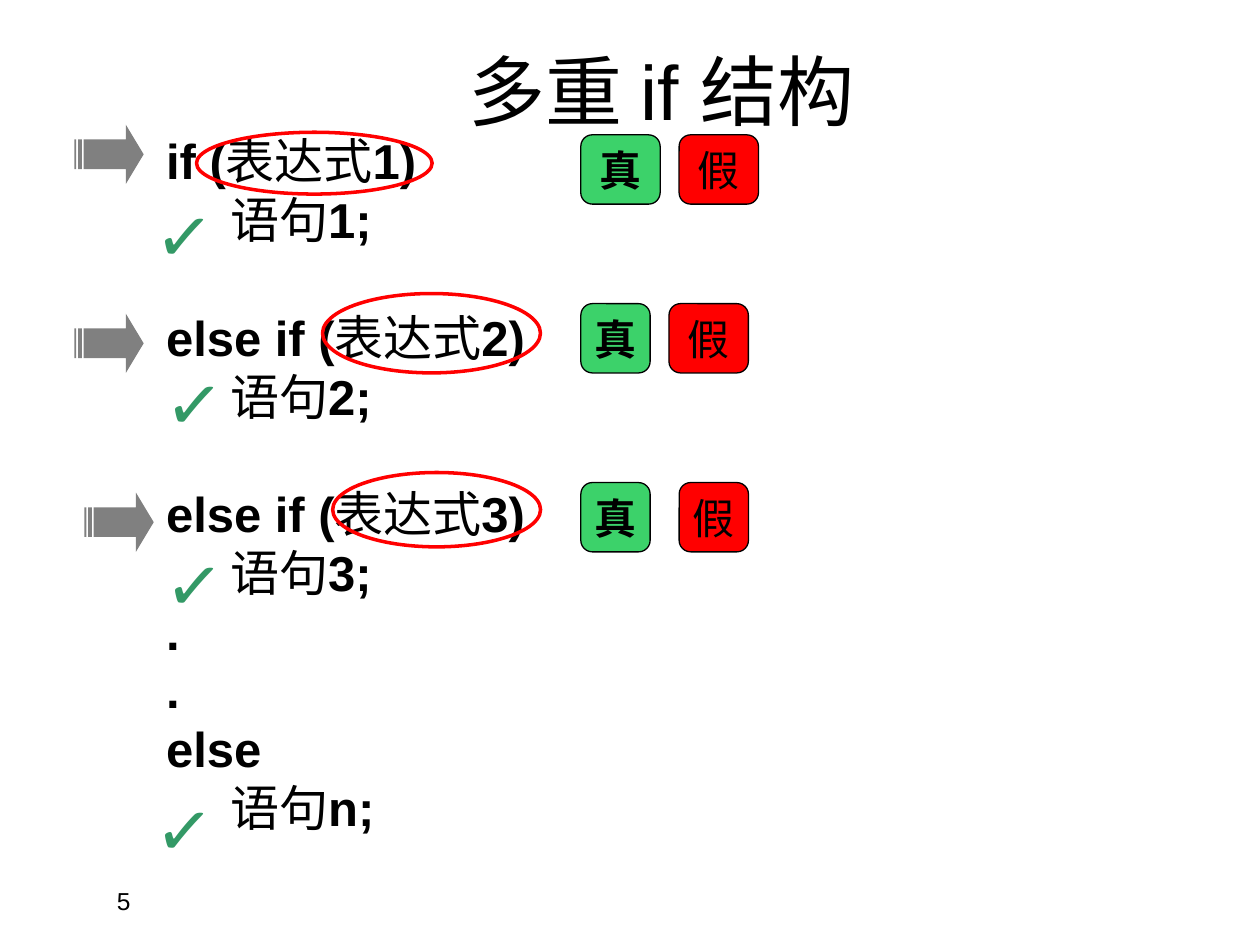
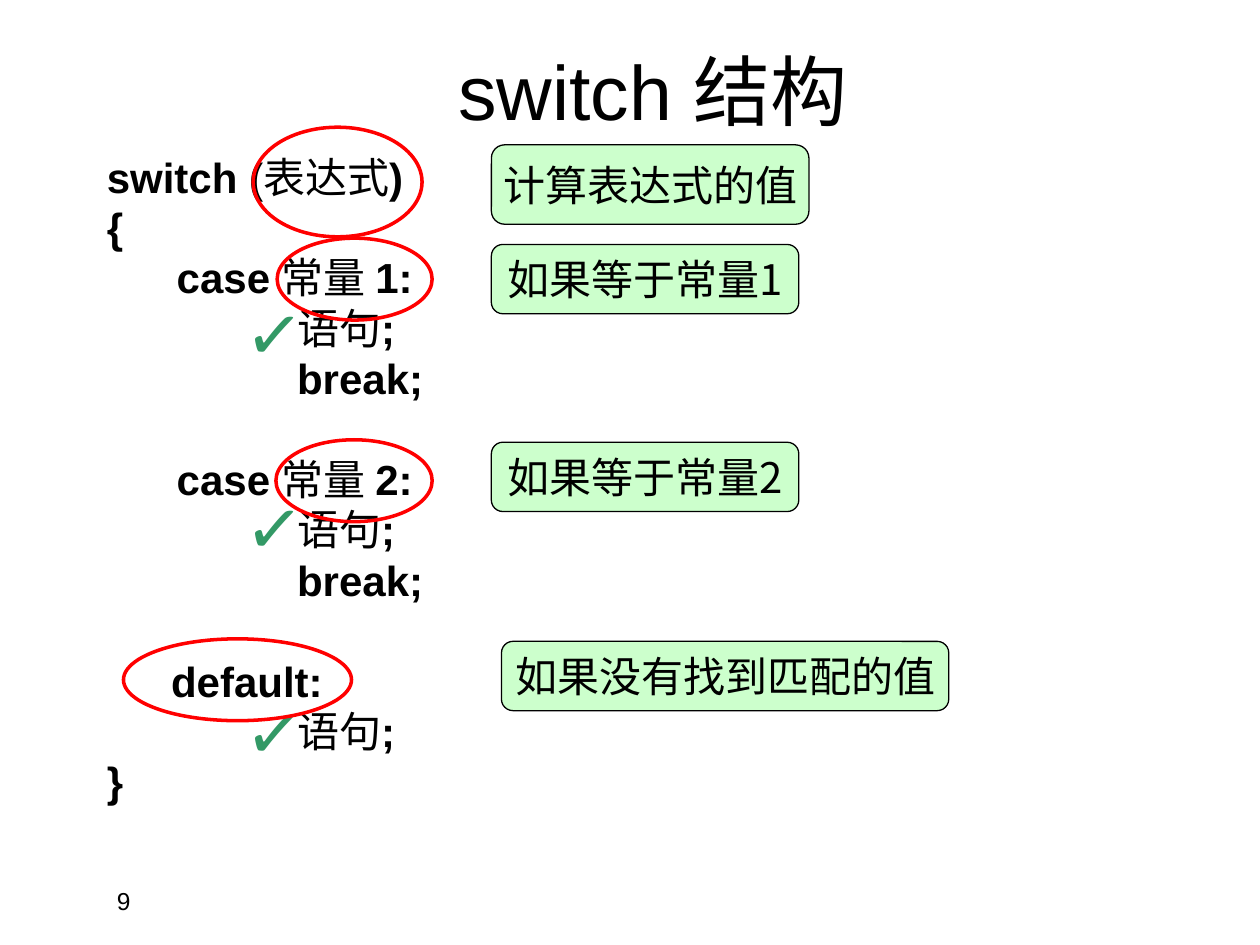
from dataclasses import dataclass

from lxml import etree
from pptx import Presentation
from pptx.dml.color import RGBColor
from pptx.enum.shapes import MSO_SHAPE as Shape
from pptx.enum.text import MSO_ANCHOR as Anchor, MSO_AUTO_SIZE as AutoSize, PP_ALIGN as Align
from pptx.oxml.ns import qn
from pptx.util import Inches, Pt


@dataclass(frozen=True)
class Theme:
    latin: str = "Arial"
    cjk: str = "Noto Sans CJK SC"
    text: str = "000000"
    ring: str = "FF0000"
    true: str = "3CD26A"
    false: str = "FF0000"
    note: str = "CCFFCC"
    arrow: str = "808080"
    tick: str = "339966"
    title_size: int = 44
    tick_size: int = 40
    label_size: int = 24
    number_size: int = 14
    line_spacing: float = 1.2


THEME = Theme()

MULTI_IF = [
    ["if (|表达式|1)", "\t|语句|1;"],
    ["else if (|表达式|2)", "\t|语句|2;"],
    ["else if (|表达式|3)", "\t|语句|3;", ".", ".", "else", "\t|语句|n;"],
]
SWITCH = [
    ["switch (|表达式|)", "{", "      case |常量 |1:", "\t\t|语句|;", "\t\tbreak;"],
    ["      case |常量 |2:", "\t\t|语句|;", "\t\tbreak;"],
    ["\tdefault:", "\t\t|语句|;", "}"],
]


def box(left, top, width, height):
    return [Inches(v) for v in (left, top, width, height)]


def add_run(p, text, size, color=THEME.text, bold=False, latin=THEME.latin):
    r = p.add_run()
    r.text = text
    for name, value in {"name": latin, "size": Pt(size), "bold": bold}.items():
        setattr(r.font, name, value)
    r.font.color.rgb = RGBColor.from_string(color)
    ea = etree.SubElement(r.font._element, qn("a:ea"))
    ea.set("typeface", THEME.cjk)


def add_text(s, place, text, size, **style):
    sp = s.shapes.add_textbox(*box(*place))
    sp.text_frame.word_wrap = True
    add_run(sp.text_frame.paragraphs[0], text, size, **style)
    return sp


def add_title_slide(prs, title, number):
    s = prs.slides.add_slide(prs.slide_layouts[5])
    sp = s.shapes.title
    sp.left, sp.top, sp.width, sp.height = box(0.75, 0.28, 9, 0.87)
    tf = sp.text_frame
    tf.auto_size = AutoSize.NONE
    tf.vertical_anchor = Anchor.MIDDLE
    p = tf.paragraphs[0]
    p.alignment = Align.CENTER
    add_run(p, title, THEME.title_size)
    add_text(s, (0.83, 6.98, 2.33, 0.24), number, THEME.number_size)
    return s


def set_tabs(p, stops):
    tabs = etree.SubElement(p._p.get_or_add_pPr(), qn("a:tabLst"))
    for stop in stops:
        etree.SubElement(tabs, qn("a:tab"), pos=str(Inches(stop)), algn="l")


def add_code(s, place, blocks, size, stops):
    tf = s.shapes.add_textbox(*box(*place)).text_frame
    tf.word_wrap = True
    pitch = Pt(size * THEME.line_spacing)
    p = tf.paragraphs[0]
    for b, block in enumerate(blocks):
        for i, line in enumerate(block):
            if b or i:
                p = tf.add_paragraph()
            set_tabs(p, stops)
            p.line_spacing = pitch
            if b and not i:
                p.space_before = pitch
            for k, part in enumerate(line.split("|")):
                add_run(p, part, size, bold=k % 2 == 0)


def add_plain_shape(s, kind, place, fill=None, line=None, width=0.75):
    sp = s.shapes.add_shape(kind, *box(*place))
    sp.shadow.inherit = False
    for part, color in ((sp.fill, fill), (sp.line.fill, line)):
        if color:
            part.solid()
            part.fore_color.rgb = RGBColor.from_string(color)
        else:
            part.background()
    if line:
        sp.line.width = Pt(width)
    return sp


def add_ring(s, *place):
    add_plain_shape(s, Shape.OVAL, place, line=THEME.ring, width=2)


def add_label(s, place, text, fill, **style):
    sp = add_plain_shape(s, Shape.ROUNDED_RECTANGLE, place, fill, THEME.text)
    tf = sp.text_frame
    tf.word_wrap = False
    tf.vertical_anchor = Anchor.MIDDLE
    p = tf.paragraphs[0]
    p.alignment = Align.CENTER
    add_run(p, text, THEME.label_size, **style)


def add_arrow(s, left, top):
    sp = add_plain_shape(s, Shape.STRIPED_RIGHT_ARROW, (left, top, 0.55, 0.47), THEME.arrow)
    sp.adjustments[0], sp.adjustments[1] = 0.5, 0.3


def add_tick(s, left, top):
    sp = add_text(s, (left, top, 0.63, 0.77), "✓", THEME.tick_size,
                  color=THEME.tick, bold=True)
    sp.rotation = 4.7


def build_multi_if(prs):
    s = add_title_slide(prs, "多重 if 结构", "5")
    add_code(s, (1.22, 0.99, 8.43, 5.71), MULTI_IF, 28, [0.51, 1, 1.56, 2])
    for ring in ((1.56, 1.05, 1.87, 0.49), (2.56, 2.33, 1.73, 0.63), (2.64, 3.75, 1.65, 0.59)):
        add_ring(s, *ring)
    for top, true_width, false_left, false_width in (
        (1.07, 0.63, 5.39, 0.63),
        (2.41, 0.55, 5.31, 0.63),
        (3.83, 0.55, 5.39, 0.55),
    ):
        add_label(s, (4.61, top, true_width, 0.55), "真", THEME.true, bold=True)
        add_label(s, (false_left, top, false_width, 0.55), "假", THEME.false)
    for arrow in ((0.59, 0.99), (0.59, 2.49), (0.67, 3.91)):
        add_arrow(s, *arrow)
    for tick in ((1.14, 1.47), (1.22, 2.81), (1.22, 4.24), (1.14, 6.19)):
        add_tick(s, *tick)


def build_switch(prs):
    s = add_title_slide(prs, "switch 结构 ", "9")
    add_code(s, (0.75, 1.15, 8.74, 5.3), SWITCH, 24, [0.51, 1.51, 2, 3])
    add_label(s, (3.9, 1.15, 2.52, 0.63), "计算表达式的值", THEME.note)
    for n, top in ((1, 1.94), (2, 3.51)):
        add_label(s, (3.9, top, 2.44, 0.55), f"如果等于常量{n}", THEME.note, latin=THEME.cjk)
    add_label(s, (3.98, 5.09, 3.55, 0.55), "如果没有找到匹配的值", THEME.note)
    for top in (2.25, 3.79, 5.42):
        add_tick(s, 1.85, top)
    for ring in ((2.01, 1.01, 1.34, 0.87), (2.2, 1.89, 1.23, 0.65),
                 (2.19, 3.49, 1.24, 0.65), (0.98, 5.07, 1.81, 0.65)):
        add_ring(s, *ring)


def main():
    prs = Presentation()
    prs.slide_width, prs.slide_height = Inches(10), Inches(7.5)
    build_multi_if(prs)
    build_switch(prs)
    prs.save("out.pptx")


if __name__ == "__main__":
    main()
